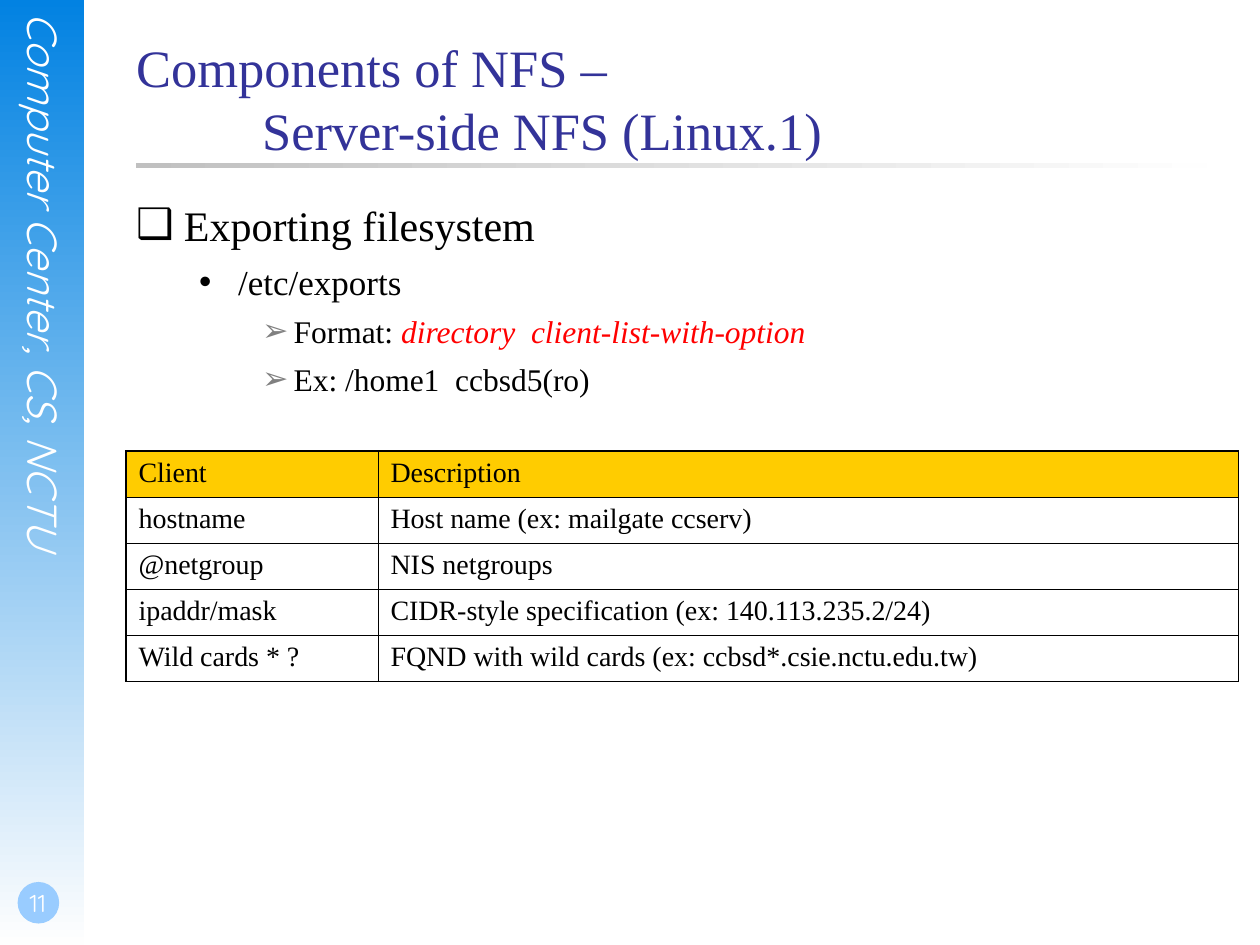
from dataclasses import dataclass
from lxml.etree import SubElement
from pptx import Presentation
from pptx.dml.color import RGBColor
from pptx.enum.shapes import MSO_SHAPE as Preset
from pptx.enum.text import MSO_ANCHOR as Anchor, MSO_AUTO_SIZE as AutoSize, PP_ALIGN as Align
from pptx.oxml.ns import qn
from pptx.util import Inches, Pt

TITLE = "Components of NFS –\v\tServer-side NFS (Linux.1)"
SIDE_LABEL = "Computer Center, CS, NCTU"
PAGE_NUMBER = "11"
OUTLINE = [
    (0, [("Exporting filesystem", "plain")]),
    (1, [("/etc/exports", "plain")]),
    (2, [("Format: ", "plain"), ("directory  client-list-with-option", "accent")]),
    (2, [("Ex: /home1  ccbsd5(ro)", "plain")]),
]
CLIENTS = [
    ("Client", "Description"),
    ("hostname", "Host name (ex: mailgate ccserv)"),
    ("@netgroup", "NIS netgroups"),
    ("ipaddr/mask", "CIDR-style specification (ex: 140.113.235.2/24)"),
    ("Wild cards * ?", "FQND with wild cards (ex: ccbsd*.csie.nctu.edu.tw)"),
]


@dataclass(frozen=True)
class Theme:
    serif: str = "Times New Roman"
    side: str = "Quicksand"
    title: str = "333399"
    text: str = "000000"
    accent: str = "FF0000"
    white: str = "FFFFFF"
    badge: str = "99CCFF"
    header: str = "FFCC00"
    sidebar: tuple = ("0282E2", "FEFEFE")
    rule: tuple = ("FEFEFE", "C0C0C0")
    title_size: int = 30
    label_size: int = 24
    number_size: int = 14
    table_size: int = 16
    outer_line: float = 1.08
    inner_line: float = 0.45


THEME = Theme()
LEVELS = [
    dict(size=24, left=0.38, hanging=0.38, before=7.5, bullet="❑", bullet_color="000000"),
    dict(size=20, left=0.81, hanging=0.31, before=6.2, bullet="•", bullet_color="000000"),
    dict(size=18, left=1.25, hanging=0.25, before=5.6, bullet="➢", bullet_color="808080"),
]
RUN_STYLES = {
    "plain": dict(color=THEME.text, italic=False),
    "accent": dict(color=THEME.accent, italic=True),
}
CONTENT_LEFT, CONTENT_WIDTH = 1.08, 8.5
COLUMN_WIDTHS = [2, 6.83]
TABLE_HEIGHT = 1.83


def style_font(font, color, **values):
    for name, value in values.items():
        setattr(font, name, value)
    font.color.rgb = RGBColor.from_string(color)


def place(shape, *box):
    for name, value in zip(("left", "top", "width", "height"), box):
        setattr(shape, name, Inches(value))


def format_frame(frame, **values):
    defaults = dict(margin_left=0, margin_top=0, margin_right=0, margin_bottom=0,
                    word_wrap=True, auto_size=AutoSize.NONE, vertical_anchor=Anchor.TOP)
    for name, value in {**defaults, **values}.items():
        setattr(frame, name, value)


def add_filled(slide, preset, box, colors, angle=0):
    shape = slide.shapes.add_shape(preset, *map(Inches, box))
    shape.shadow.inherit = False
    shape.line.fill.background()
    if len(colors) == 1:
        shape.fill.solid()
        shape.fill.fore_color.rgb = RGBColor.from_string(colors[0])
    else:
        shape.fill.gradient()
        shape.fill.gradient_angle = angle
        for stop, color in zip(shape.fill.gradient_stops, colors):
            stop.color.rgb = RGBColor.from_string(color)


def add_side_text(slide, box, text, size, italic=False, **frame_values):
    frame = slide.shapes.add_textbox(*map(Inches, box)).text_frame
    format_frame(frame, **frame_values)
    paragraph = frame.paragraphs[0]
    paragraph.text = text
    style_font(paragraph.runs[0].font, THEME.white, name=THEME.side, size=Pt(size), italic=italic)
    return frame


def add_sidebar(slide):
    add_filled(slide, Preset.RECTANGLE, (0, 0, 0.67, 7.5), THEME.sidebar, 270)
    label = add_side_text(slide, (0.15, 0.1, 0.4, 5.11), SIDE_LABEL, THEME.label_size,
                          italic=True, auto_size=AutoSize.SHAPE_TO_FIT_TEXT)
    label._txBody.bodyPr.set("vert", "eaVert")
    add_filled(slide, Preset.OVAL, (0.14, 7, 0.33, 0.33), (THEME.badge,))
    number = add_side_text(slide, (0, 6.83, 0.58, 0.5), PAGE_NUMBER, THEME.number_size,
                           margin_left=Inches(0.02), margin_bottom=Inches(0.05),
                           vertical_anchor=Anchor.BOTTOM)
    number.paragraphs[0].alignment = Align.CENTER


def fill_title(title):
    place(title, CONTENT_LEFT, 0.28, CONTENT_WIDTH, 1.25)
    format_frame(title.text_frame)
    title.text_frame.text = TITLE
    paragraph = title.text_frame.paragraphs[0]
    paragraph.alignment = Align.LEFT
    tabs = SubElement(paragraph._p.get_or_add_pPr(), qn("a:tabLst"))
    SubElement(tabs, qn("a:tab"), pos=str(Inches(1)), algn="l")
    for run in paragraph.runs:
        style_font(run.font, THEME.title, name=THEME.serif, size=Pt(THEME.title_size))


def add_bullet(paragraph, level):
    properties = paragraph._p.get_or_add_pPr()
    properties.set("marL", str(Inches(level["left"])))
    properties.set("indent", str(-Inches(level["hanging"])))
    color = SubElement(properties, qn("a:buClr"))
    SubElement(color, qn("a:srgbClr"), val=level["bullet_color"])
    SubElement(properties, qn("a:buChar"), char=level["bullet"])


def fill_body(body):
    place(body, CONTENT_LEFT, 1.58, CONTENT_WIDTH, 5.08)
    frame = body.text_frame
    format_frame(frame)
    for index, (depth, runs) in enumerate(OUTLINE):
        paragraph = frame.add_paragraph() if index else frame.paragraphs[0]
        level = LEVELS[depth]
        paragraph.level = depth
        add_bullet(paragraph, level)
        paragraph.space_before = Pt(level["before"] if index else 0)
        for text, style in runs:
            run = paragraph.add_run()
            run.text = text
            style_font(run.font, name=THEME.serif, size=Pt(level["size"]), **RUN_STYLES[style])


def add_borders(cell, outer_sides):
    properties = cell._tc.get_or_add_tcPr()
    for side, is_outer in outer_sides.items():
        width = THEME.outer_line if is_outer else THEME.inner_line
        line = SubElement(properties, qn(f"a:ln{side}"), w=str(Pt(width)))
        color = SubElement(SubElement(line, qn("a:solidFill")), qn("a:srgbClr"))
        color.set("val", THEME.text)


def add_client_table(slide):
    row_count, column_count = len(CLIENTS), len(COLUMN_WIDTHS)
    box = (1, 3.58, sum(COLUMN_WIDTHS), TABLE_HEIGHT)
    table = slide.shapes.add_table(row_count, column_count, *map(Inches, box)).table
    table.first_row = table.horz_banding = False
    for column, width in zip(table.columns, COLUMN_WIDTHS):
        column.width = Inches(width)
    for r, texts in enumerate(CLIENTS):
        for c, text in enumerate(texts):
            cell = table.cell(r, c)
            add_borders(cell, {"L": c == 0, "R": c == column_count - 1,
                               "T": r == 0, "B": r == row_count - 1})
            if r:
                cell.fill.background()
            else:
                cell.fill.solid()
                cell.fill.fore_color.rgb = RGBColor.from_string(THEME.header)
            cell.text = text
            font = cell.text_frame.paragraphs[0].runs[0].font
            style_font(font, THEME.text, name=THEME.serif, size=Pt(THEME.table_size))


def main():
    presentation = Presentation()
    presentation.slide_width, presentation.slide_height = Inches(10), Inches(7.5)
    slide = presentation.slides.add_slide(presentation.slide_layouts[1])
    title, body = slide.placeholders
    add_sidebar(slide)
    add_filled(slide, Preset.RECTANGLE, (CONTENT_LEFT, 1.29, CONTENT_WIDTH, 0.04), THEME.rule, 180)
    for placeholder, fill in ((title, fill_title), (body, fill_body)):
        fill(placeholder)
        slide.shapes.element.append(placeholder.element)
    add_client_table(slide)
    presentation.save("out.pptx")


if __name__ == "__main__":
    main()
